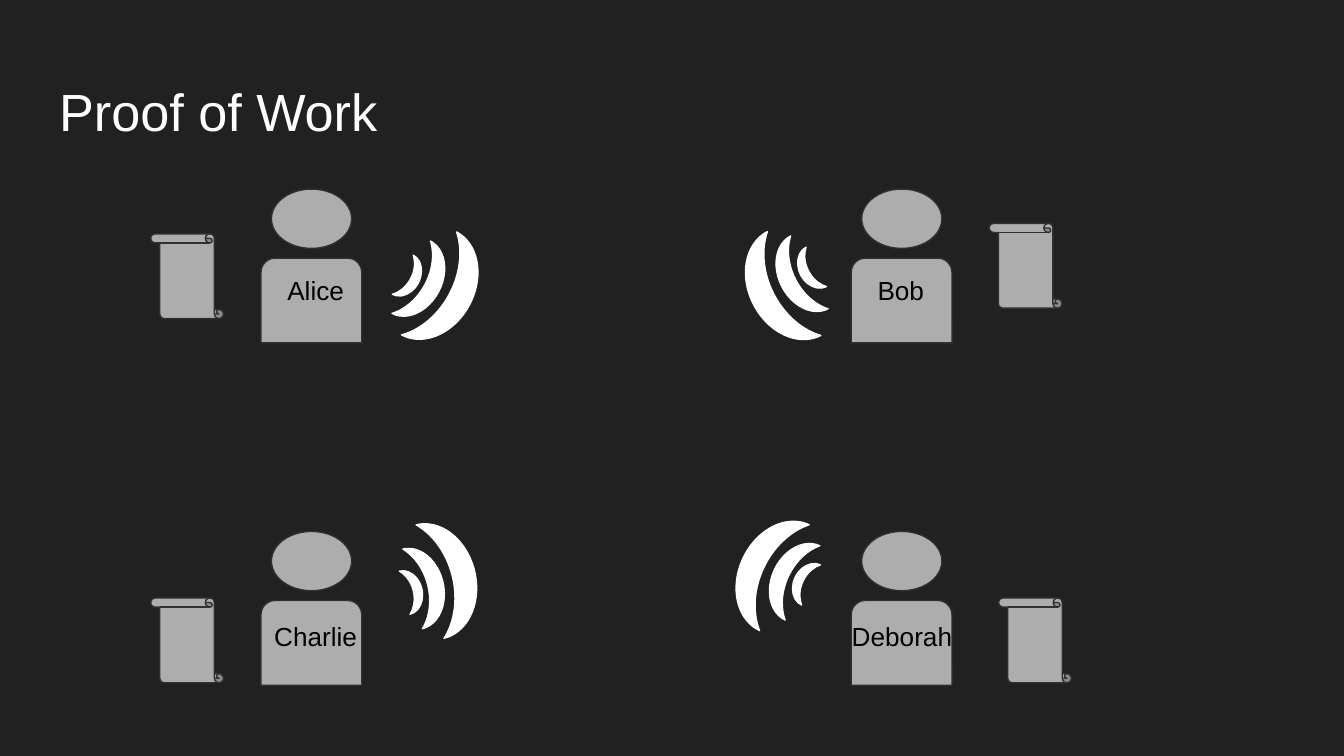
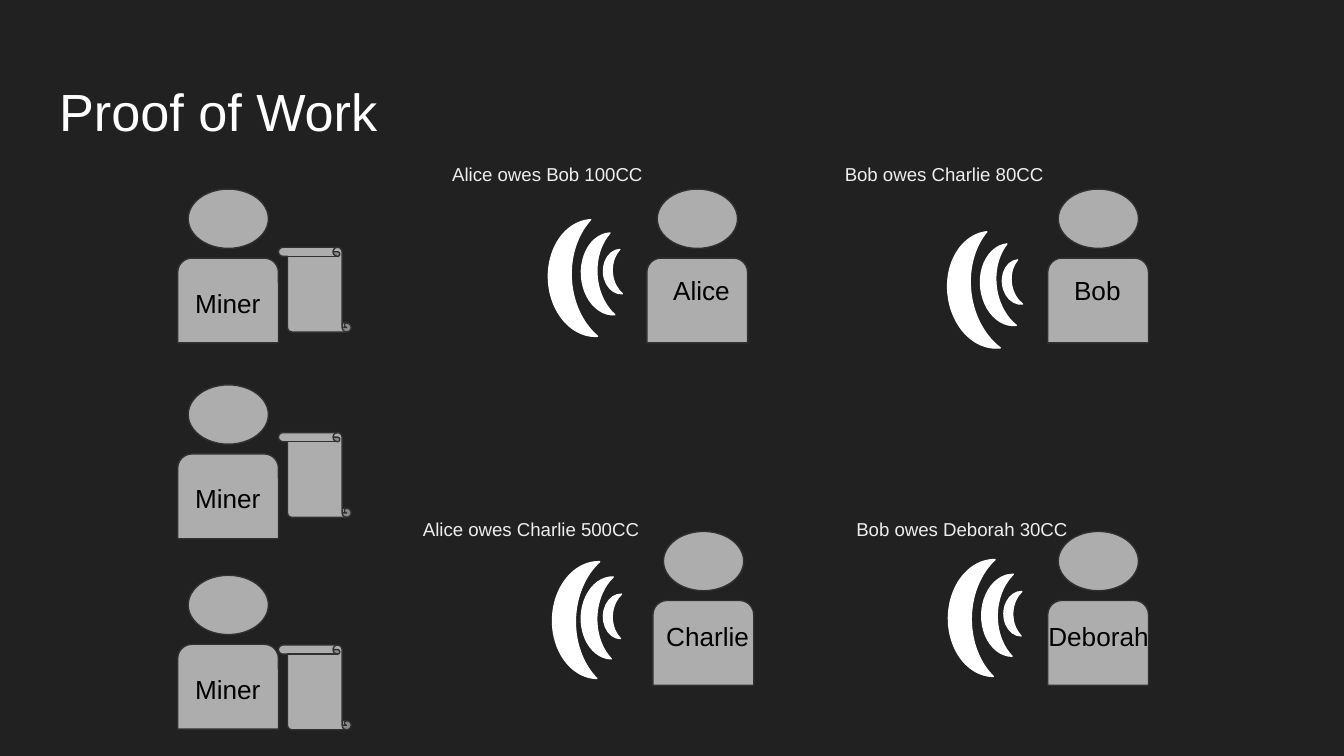
import math

import pptx
import pptx.dml.color
import pptx.enum.shapes
import pptx.enum.text
import pptx.util

Pt = pptx.util.Pt
SHAPE = pptx.enum.shapes.MSO_SHAPE
ANCHOR = pptx.enum.text.MSO_ANCHOR

COLORS = {
    "background": "212121",
    "title": "FFFFFF",
    "figure": "ADADAD",
    "outline": "303030",
    "name": "000000",
    "signal": "FFFFFF",
    "debt": "EEEEEE",
}
FONT = "Arial"
BODY_WIDTH, BODY_HEIGHT, BODY_DROP = 54, 45.4, 37
HEAD_INDENT, HEAD_WIDTH, HEAD_HEIGHT = 5.6, 43, 31.8
LEDGER_WIDTH, LEDGER_HEIGHT = 39, 45.4
WAVE_SIZES = [(9.4, 23.8), (16.6, 43.9), (24.5, 62.6)]
WAVE_STEP, WAVE_REACH, WAVE_DRIFT = 8.3, 22.3, 6.5
NAME_BOXES = {
    "Alice": (7, 1.4, 46.8),
    "Bob": (7, 1.4, 46.8),
    "Charlie": (0, 3.6, 70),
    "Deborah": (-6.8, 3.6, 90.7),
}


def rgb(key):
    return pptx.dml.color.RGBColor.from_string(COLORS[key])


def write(frame, text, size, color, wrap=True, anchor=ANCHOR.TOP):
    frame.text = text
    frame.word_wrap = wrap
    frame.auto_size = pptx.enum.text.MSO_AUTO_SIZE.NONE
    frame.vertical_anchor = anchor
    frame.margin_left = frame.margin_right = Pt(7.2)
    frame.margin_top = frame.margin_bottom = Pt(7.2)
    line = frame.paragraphs[0]
    line.alignment = pptx.enum.text.PP_ALIGN.LEFT
    line.font.name = FONT
    line.font.size = Pt(size)
    line.font.color.rgb = rgb(color)


def add_text(shapes, text, left, top, width, height, size, color):
    box = shapes.add_textbox(Pt(left), Pt(top), Pt(width), Pt(height))
    write(box.text_frame, text, size, color)


def add_figure(shapes, kind, left, top, width, height,
               fill="figure", outline="outline", flip=False):
    figure = shapes.add_shape(kind, Pt(left), Pt(top), Pt(width), Pt(height))
    figure.shadow.inherit = False
    figure.fill.solid()
    figure.fill.fore_color.rgb = rgb(fill)
    figure.line.color.rgb = rgb(outline)
    figure.line.width = Pt(0.75)
    if flip:
        figure._element.spPr.xfrm.set("flipH", "1")
    return figure


def add_person(shapes, left, top):
    body = add_figure(shapes, SHAPE.ROUND_2_SAME_RECTANGLE,
                      left, top + BODY_DROP, BODY_WIDTH, BODY_HEIGHT)
    add_figure(shapes, SHAPE.OVAL, left + HEAD_INDENT, top, HEAD_WIDTH, HEAD_HEIGHT)
    return body


def add_user(slide, name, left, top):
    add_person(slide.shapes.add_group_shape().shapes, left, top)
    indent, drop, width = NAME_BOXES[name]
    add_text(slide.shapes, name, left + indent, top + BODY_DROP + drop,
             width, 35.3, 14, "name")


def add_ledger(shapes, left, top):
    add_figure(shapes, SHAPE.VERTICAL_SCROLL, left, top,
               LEDGER_WIDTH, LEDGER_HEIGHT, flip=True)


def add_miner(shapes, left, top, ledger_top):
    add_ledger(shapes, left + BODY_WIDTH, ledger_top)
    body = add_person(shapes, left, top)
    write(body.text_frame, "Miner", 14, "name", wrap=False, anchor=ANCHOR.MIDDLE)


def add_signal(shapes, center_x, center_y, angle, reach=WAVE_REACH):
    heading = math.radians(angle - WAVE_DRIFT)
    for distance, (width, height) in zip((0, WAVE_STEP, reach), WAVE_SIZES):
        x = center_x + distance * math.cos(heading)
        y = center_y + distance * math.sin(heading)
        wave = add_figure(shapes, SHAPE.MOON, x - width / 2, y - height / 2,
                          width, height, "signal", "signal", flip=True)
        wave.rotation = angle


def add_titled_slide(deck, title):
    slide = deck.slides.add_slide(deck.slide_layouts[5])
    heading = slide.shapes.title
    heading.left, heading.top = Pt(24.5), Pt(35.3)
    heading.width, heading.height = Pt(671), Pt(45.1)
    write(heading.text_frame, title, 28, "title")
    return slide


def build_ledgers_slide(deck):
    slide = add_titled_slide(deck, "Proof of Work")
    for name, left, top in [("Alice", 139.8, 101.3), ("Bob", 456, 101.3),
                            ("Charlie", 139.8, 284.7), ("Deborah", 456, 284.7)]:
        add_user(slide, name, left, top)
    for left, top in [(80.8, 125.3), (80.8, 320.4), (530, 119.7), (535, 320.4)]:
        add_ledger(slide.shapes, left, top)
    for signal in [(220, 149.4, 28.1), (221.4, 316.4, 346.2),
                   (433.1, 145.1, 152.8), (430.2, 311.4, 205.1)]:
        add_signal(slide.shapes, *signal)


def build_miners_slide(deck):
    slide = add_titled_slide(deck, "Proof of Work")
    for name, left, top in [("Alice", 346.5, 101.3), ("Bob", 561.3, 101.3),
                            ("Charlie", 349.8, 284.7), ("Deborah", 561.3, 284.7)]:
        add_user(slide, name, left, top)
    signals = slide.shapes.add_group_shape().shapes
    for signal in [(328, 145.8, 176.6), (328, 330.1, 181.4, 19.8),
                   (541.8, 151.6, 173.4), (542.5, 328.7, 180.9)]:
        add_signal(signals, *signal)
    miners = slide.shapes.add_group_shape().shapes
    for top, ledger_top in [(101.3, 132.5), (206.2, 231.8), (308.2, 345.6)]:
        add_miner(miners, 95.2, top, ledger_top)
    for debt, left, top, width in [
        ("Alice owes Bob 100CC", 235.2, 80, 119),
        ("Bob owes Charlie 80CC", 445.5, 80, 158.4),
        ("Alice owes Charlie 500CC", 219.5, 270, 158.4),
        ("Bob owes Deborah 30CC", 451.7, 270, 158.4),
    ]:
        add_text(slide.shapes, debt, left, top, width, 24, 10, "debt")


deck = pptx.Presentation()
deck.slide_width, deck.slide_height = Pt(720), Pt(405)
backdrop = deck.slide_master.background.fill
backdrop.solid()
backdrop.fore_color.rgb = rgb("background")
build_ledgers_slide(deck)
build_miners_slide(deck)
deck.save("out.pptx")
